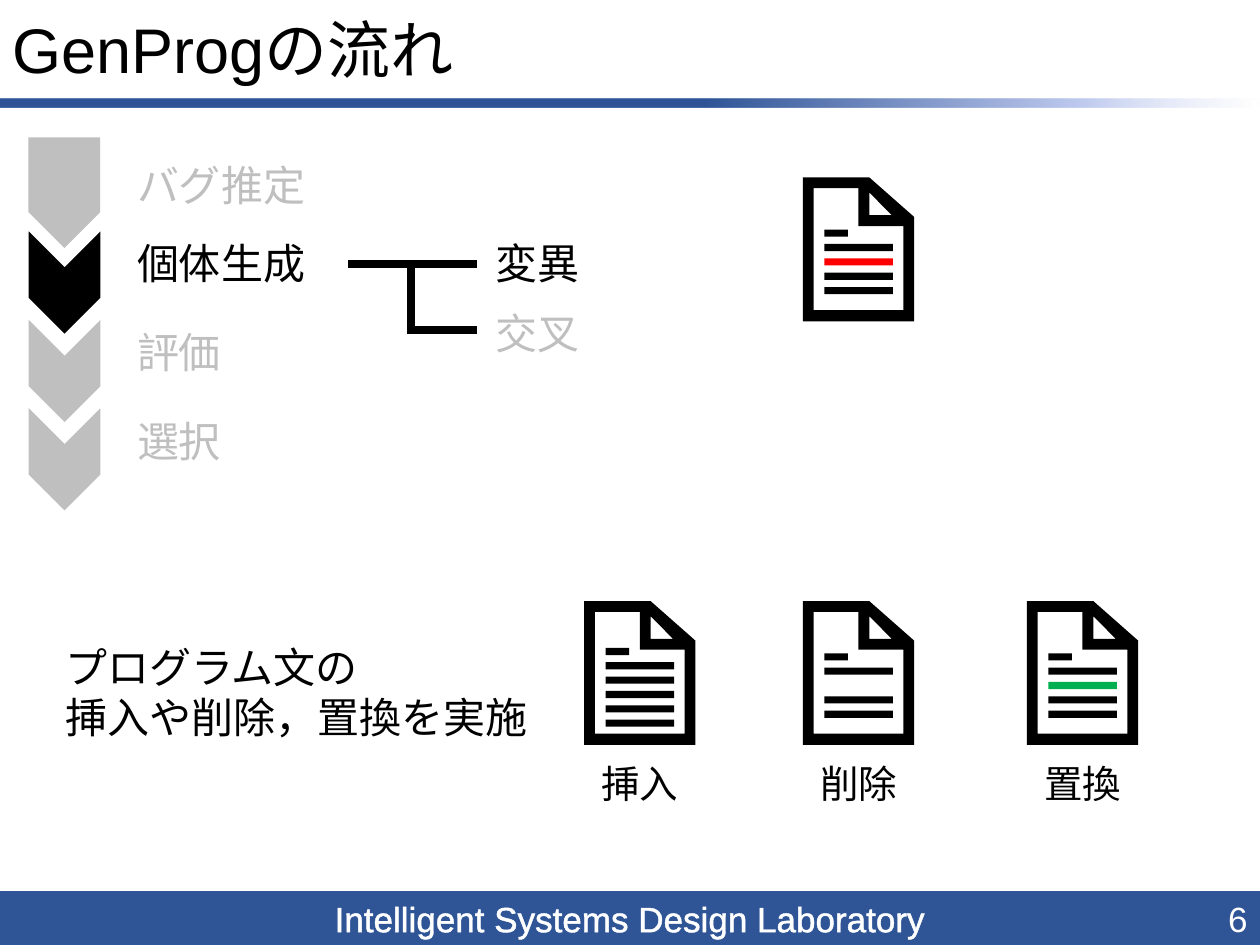
from lxml.etree import SubElement
from pptx import Presentation
from pptx.dml.color import RGBColor
from pptx.enum.shapes import MSO_CONNECTOR, MSO_SHAPE
from pptx.enum.text import MSO_ANCHOR, MSO_AUTO_SIZE, PP_ALIGN
from pptx.oxml import parse_xml
from pptx.oxml.ns import nsdecls, qn
from pptx.util import Pt

HUES = {"ink": "000000", "gray": "BFBFBF", "blue": "2F5597", "pale": "C0CBF0",
        "mist": "E0E5F7", "red": "FF0000", "green": "00B050", "white": "FFFFFF"}
FONT = "Arial"
PAGE = [
    [(6.2, 75.8), (6.2, 6.2), (31.8, 6.2), (31.8, 27.8), (57.4, 27.8), (57.4, 75.8)],
    [(38, 8.6), (50.8, 21.6), (38, 21.6)],
    [(38, 0), (0, 0), (0, 82.2), (63.6, 82.2), (63.6, 22.6)],
]
PITCH = 8.2


def hue(name):
    return RGBColor.from_string(HUES[name])


def paint(shape, color):
    shape.fill.solid()
    shape.fill.fore_color.rgb = hue(color)
    shape.line.fill.background()
    shape.shadow.inherit = False


def block(slide, kind, left, top, width, height, color, turn=0):
    shape = slide.shapes.add_shape(kind, Pt(left), Pt(top), Pt(width), Pt(height))
    paint(shape, color)
    shape.rotation = turn
    return shape


def write(frame, words, size, color, align=PP_ALIGN.LEFT):
    para = frame.paragraphs[0]
    para.text = words
    para.alignment = align
    para.font.size = Pt(size)
    para.font.name = FONT
    para.font.color.rgb = hue(color)
    return para


def label(slide, words, left, top, width, height, size=24, color="ink",
          align=PP_ALIGN.LEFT, wrap=True):
    box = slide.shapes.add_textbox(Pt(left), Pt(top), Pt(width), Pt(height))
    box.text_frame.word_wrap = wrap
    box.text_frame.auto_size = MSO_AUTO_SIZE.SHAPE_TO_FIT_TEXT
    write(box.text_frame, words, size, color, align)
    return box


def branch(slide, start, end):
    line = slide.shapes.add_connector(MSO_CONNECTOR.STRAIGHT, *map(Pt, start + end))
    line.line.color.rgb = hue("ink")
    line.line.width = Pt(4.5)
    SubElement(line._element.spPr, qn("a:effectLst"))


def sheet(slide, left, top, rows, first=29.8):
    loops = [[(Pt(left + x), Pt(top + y)) for x, y in loop] for loop in PAGE]
    pen = slide.shapes.build_freeform(*loops[0][0])
    pen.add_line_segments(loops[0][1:], close=True)
    for loop in loops[1:]:
        pen.move_to(*loop[0])
        pen.add_line_segments(loop[1:], close=True)
    paint(pen.convert_to_shape(), "ink")
    for row, color in enumerate(rows):
        if color:
            width = 39.2 if row else 13.5
            block(slide, MSO_SHAPE.RECTANGLE, left + 12.3, top + first + row * PITCH,
                  width, 4.1, color)


def fade(shape):
    stops = "".join(
        f'<a:gs pos="{spot}000"><a:srgbClr val="{HUES[name]}">'
        f'<a:alpha val="{alpha}000"/></a:srgbClr></a:gs>'
        for spot, name, alpha in [(56, "blue", 100), (86, "pale", 100), (100, "mist", 0)])
    fill = parse_xml(f'<a:gradFill {nsdecls("a")} rotWithShape="1"><a:gsLst>{stops}'
                     '</a:gsLst><a:lin ang="0" scaled="0"/></a:gradFill>')
    props = shape._element.spPr
    props.replace(props.find(qn("a:solidFill")), fill)


def frame(slide):
    foot = block(slide, MSO_SHAPE.RECTANGLE, 0, 509.2, 720, 31, "blue")
    para = write(foot.text_frame, "Intelligent Systems Design Laboratory", 20, "white",
                 PP_ALIGN.CENTER)
    edge = parse_xml(f'<a:ln {nsdecls("a")} w="9525"><a:solidFill><a:srgbClr '
                     f'val="{HUES["white"]}"/></a:solidFill></a:ln>')
    para.runs[0]._r.get_or_add_rPr().insert(0, edge)
    fade(block(slide, MSO_SHAPE.RECTANGLE, 0, 56.6, 720, 4.6, "blue"))
    title = slide.shapes.title
    title.left, title.top, title.width, title.height = Pt(0), Pt(3.6), Pt(720), Pt(53)
    title.text_frame.vertical_anchor = MSO_ANCHOR.MIDDLE
    write(title.text_frame, "GenProgの流れ", 36, "ink").line_spacing = 0.9
    page = label(slide, "6", 558, 509.2, 162, 31, 20, "white", PP_ALIGN.RIGHT)
    page.text_frame.auto_size = MSO_AUTO_SIZE.NONE
    page.text_frame.vertical_anchor = MSO_ANCHOR.MIDDLE


def steps(slide):
    block(slide, MSO_SHAPE.PENTAGON, 5.1, 89.6, 63.3, 41, "gray", 90)
    for row, color in enumerate(["ink", "gray", "gray"]):
        block(slide, MSO_SHAPE.CHEVRON, 7.7, 141 + row * 50.5, 58.4, 41, color, 90)
    for words, top, color in [("バグ推定", 87.4, "gray"), ("個体生成", 132.4, "ink"),
                              ("評価", 183, "gray"), ("選択", 233.8, "gray")]:
        label(slide, words, 71.2, top, 140, 36, color=color)
    branch(slide, (198.8, 151), (272.5, 151))
    branch(slide, (234.8, 152.6), (234.8, 188.6))
    branch(slide, (232.5, 188.6), (272.5, 188.6))
    label(slide, "変異", 276, 132.4, 70, 36)
    label(slide, "交叉", 276, 172, 70, 36, color="gray")


def main():
    deck = Presentation()
    deck.slide_width, deck.slide_height = Pt(720), Pt(540)
    slide = deck.slides.add_slide(deck.slide_layouts[5])
    frame(slide)
    steps(slide)
    sheet(slide, 458.8, 101.4, ["ink", "ink", "red", "ink", "ink"])
    for words, left, rows, first in [
            ("挿入", 333.8, ["ink"] * 6, 26.7),
            ("削除", 458.8, ["ink", "ink", None, "ink", "ink"], 29.8),
            ("置換", 586.8, ["ink", "ink", "green", "ink", "ink"], 29.8)]:
        sheet(slide, left, 343.5, rows, first)
        label(slide, words, left + 2.3, 430.6, 59, 34, 22, align=PP_ALIGN.CENTER, wrap=False)
    label(slide, "プログラム文の\n挿入や削除，置換を実施", 30.2, 362.9, 285, 65.5)
    deck.save("out.pptx")


if __name__ == "__main__":
    main()
